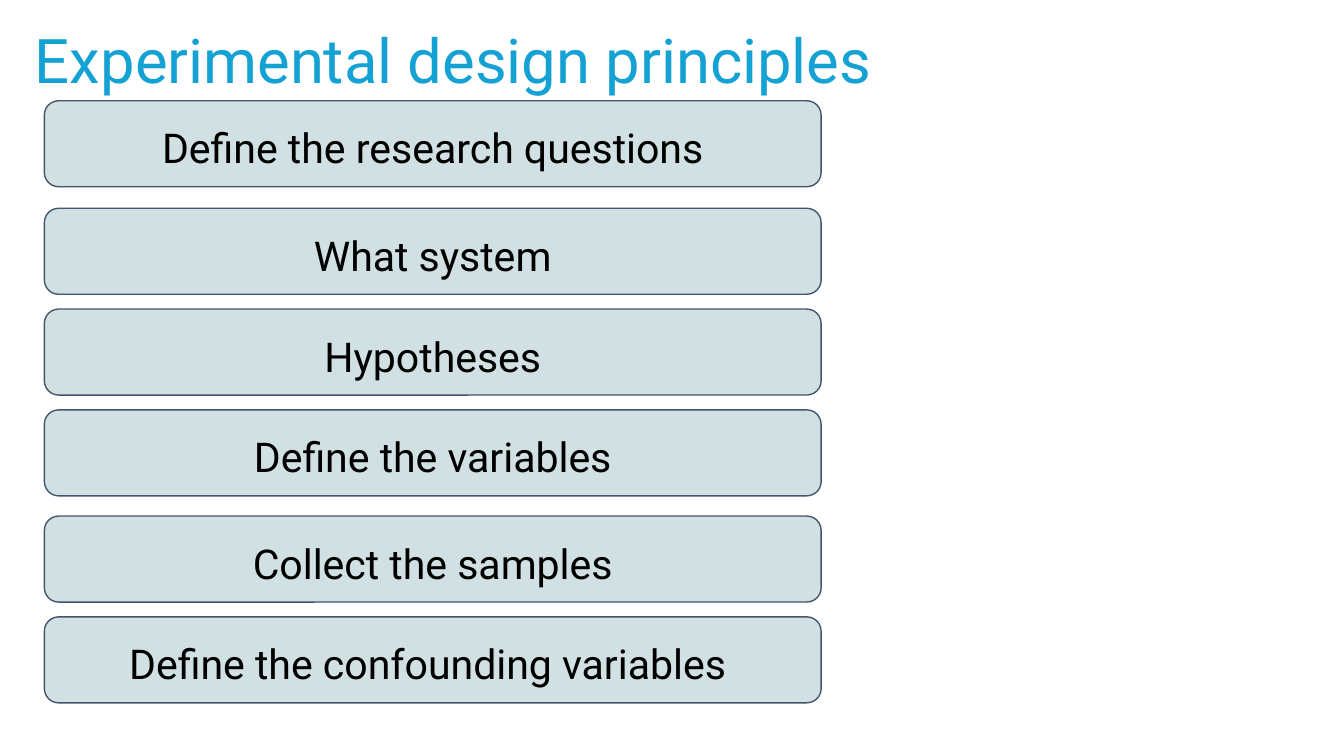
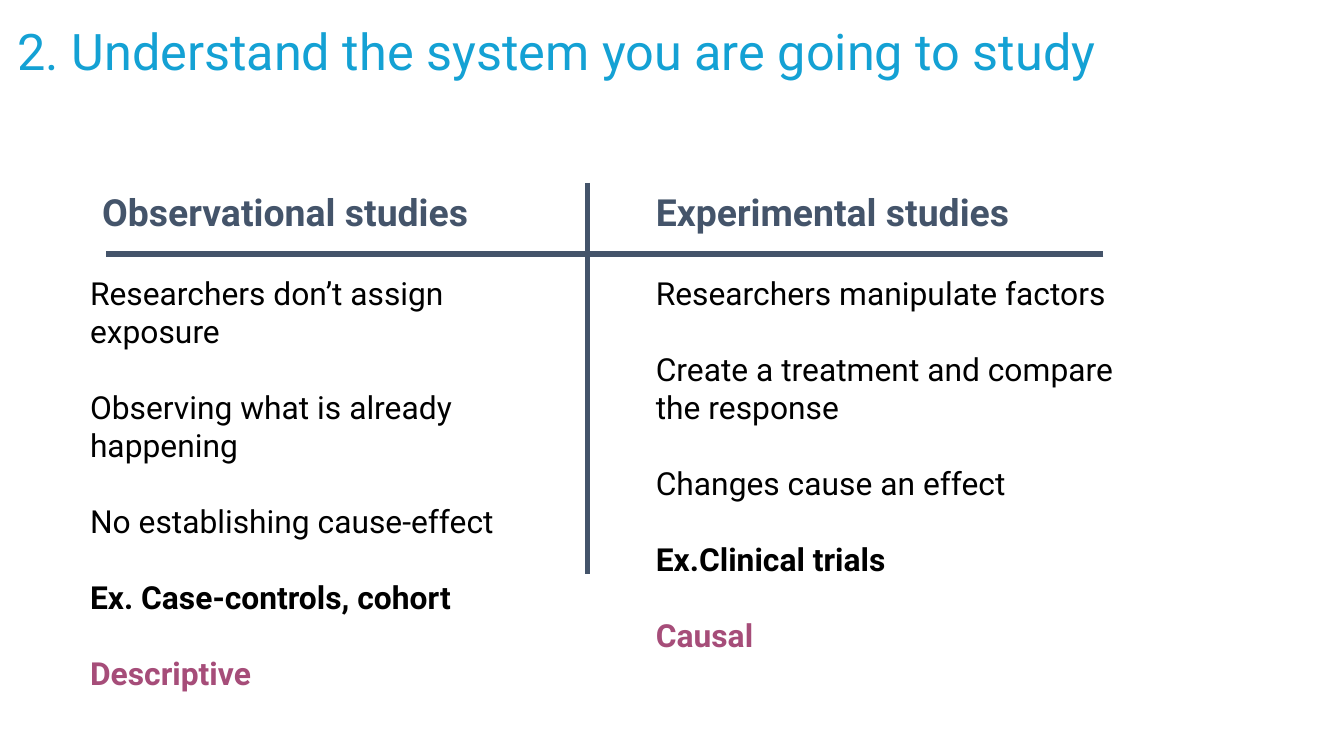
from pptx import Presentation
from pptx.dml.color import RGBColor
from pptx.enum.shapes import MSO_CONNECTOR, MSO_SHAPE
from pptx.enum.text import MSO_ANCHOR, PP_ALIGN
from pptx.oxml.ns import qn
from pptx.util import Inches, Pt
from lxml.etree import SubElement

STEPS = [
    (0.75, "Define the research questions"),
    (1.55, "What system"),
    (2.3, "Hypotheses"),
    (3.05, "Define the variables"),
    (3.84, "Collect the samples"),
    (4.59, "Define the confounding variables "),
]

STUDIES = [
    {
        "heading": ("Observational studies", 0.69),
        "left": 0.6,
        "width": 3.73,
        "points": [
            "Researchers don’t assign exposure",
            "Observing what is already happening",
            "No establishing cause-effect",
        ],
        "example": "Ex. Case-controls, cohort",
        "conclusion": "Descriptive",
    },
    {
        "heading": ("Experimental studies", 4.81),
        "left": 4.81,
        "width": 3.57,
        "points": [
            "Researchers manipulate factors",
            "Create a treatment and compare the response",
            "Changes cause an effect",
        ],
        "example": "Ex.Clinical trials",
        "conclusion": "Causal",
    },
]


def color(value):
    return RGBColor.from_string(value)


class Deck:
    FONT = "Roboto"
    TITLE = "14A1D4"
    SLATE = "44546A"
    PANEL = "D0E0E3"
    ACCENT = "A64D79"
    BLACK = "000000"

    def __init__(self):
        self.presentation = Presentation()
        self.presentation.slide_width = Inches(10)
        self.presentation.slide_height = Inches(10) * 9 // 16
        self.slide = None

    def add_slide(self):
        layout = self.presentation.slide_layouts[6]
        self.slide = self.presentation.slides.add_slide(layout)

    def set_margins(self, frame, horizontal, vertical):
        frame.word_wrap = True
        frame.margin_left = frame.margin_right = Inches(horizontal)
        frame.margin_top = frame.margin_bottom = Inches(vertical)

    def add_run(self, paragraph, text, size, fill, bold=False):
        run = paragraph.add_run()
        run.text = text
        run.font.name = self.FONT
        run.font.size = Pt(size)
        run.font.bold = bold
        run.font.color.rgb = color(fill)

    def text(self, box, lines, size, gap=0):
        shape = self.slide.shapes.add_textbox(*map(Inches, box))
        frame = shape.text_frame
        self.set_margins(frame, 0.07, 0.04)
        for index, (text, fill, bold) in enumerate(lines):
            paragraph = frame.add_paragraph() if index else frame.paragraphs[0]
            if index:
                paragraph.space_before = Pt(gap)
            self.add_run(paragraph, text, size, fill, bold)

    def title(self, text, box, size):
        self.text(box, [(text, self.TITLE, False)], size)

    def step(self, text, top):
        shape = self.slide.shapes.add_shape(
            MSO_SHAPE.ROUNDED_RECTANGLE, *map(Inches, (0.33, top, 5.78, 0.64)))
        shape.shadow.inherit = False
        shape.fill.solid()
        shape.fill.fore_color.rgb = color(self.PANEL)
        shape.line.color.rgb = color(self.SLATE)
        shape.line.width = Pt(0.75)
        frame = shape.text_frame
        self.set_margins(frame, 0.1, 0.1)
        frame.vertical_anchor = MSO_ANCHOR.MIDDLE
        paragraph = frame.paragraphs[0]
        paragraph.alignment = PP_ALIGN.CENTER
        paragraph.line_spacing = 1.15
        self.add_run(paragraph, text, 22, self.BLACK)

    def rule(self, start, end):
        connector = self.slide.shapes.add_connector(
            MSO_CONNECTOR.STRAIGHT, *map(Inches, start + end))
        connector.line.color.rgb = color(self.SLATE)
        connector.line.width = Pt(2.75)
        SubElement(connector._element.spPr, qn("a:effectLst"))

    def study(self, study):
        heading, left = study["heading"]
        self.text((left, 1.37, 3.24, 0.41), [(heading, self.SLATE, True)], 20)
        lines = [(point, self.BLACK, False) for point in study["points"]]
        lines.append((study["example"], self.BLACK, True))
        lines.append((study["conclusion"], self.ACCENT, True))
        self.text((study["left"], 2, study["width"], 2.94), lines, 17, gap=20.2)


def main():
    deck = Deck()

    deck.add_slide()
    deck.title("Experimental design principles", (0.19, 0.12, 7.17, 0.63), 33)
    for top, text in STEPS:
        deck.step(text, top)

    deck.add_slide()
    deck.title("2. Understand the system you are going to study",
               (0.06, 0.11, 9.31, 0.53), 27)
    deck.rule((4.37, 1.36), (4.37, 4.27))
    deck.rule((8.21, 1.89), (0.79, 1.89))
    for study in STUDIES:
        deck.study(study)

    deck.presentation.save("out.pptx")


if __name__ == "__main__":
    main()
